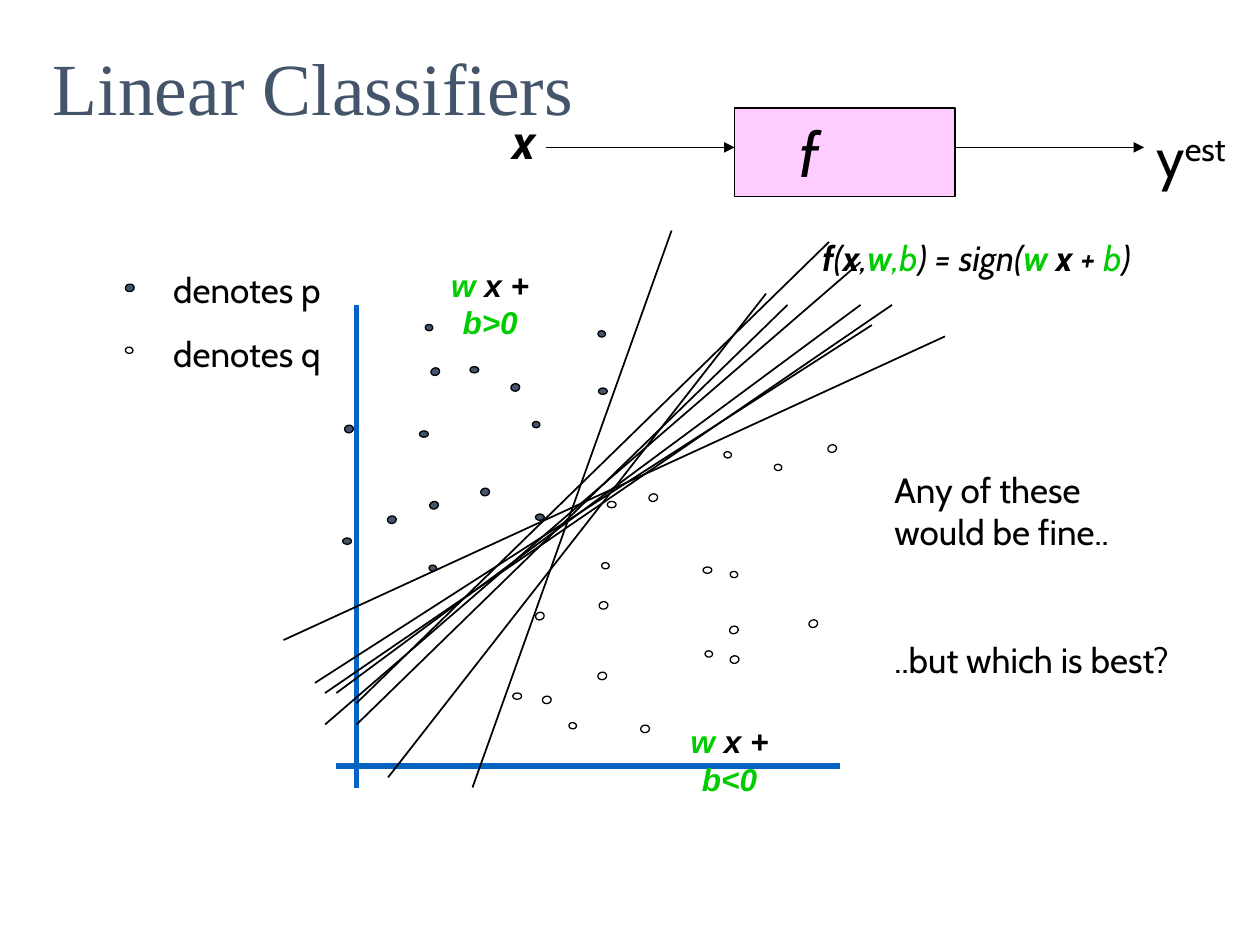
from dataclasses import dataclass
from pptx import Presentation
from pptx.dml.color import RGBColor
from pptx.enum.shapes import MSO_CONNECTOR as CONN, MSO_SHAPE as SHAPE
from pptx.enum.text import MSO_ANCHOR as ANCHOR, PP_ALIGN as ALIGN
from pptx.oxml.ns import qn
from pptx.util import Inches, Pt
from lxml.etree import SubElement


@dataclass(frozen=True)
class Theme:
    slate: str = "44546A"
    black: str = "000000"
    white: str = "FFFFFF"
    pink: str = "FFCCFF"
    blue: str = "0563C1"
    green: str = "00CC00"
    title_font: str = "Times New Roman"
    body_font: str = "Cabin"
    math_font: str = "Arial"
    title: int = 42
    function: int = 36
    output: int = 32
    input: int = 28
    body: int = 20
    label: int = 18


T = Theme()
TITLE = "Linear Classifiers"

FORMULA = [
    ("f", T.black, True), ("(", T.black, False), ("x", T.black, True),
    (",", T.black, False), ("w", T.green, True), (",b", T.green, False),
    (") = sign(", T.black, False), ("w", T.green, True), (" x ", T.black, True),
    ("+ ", T.black, False), ("b", T.green, False), (")", T.black, False),
]
REGIONS = [("b>0", 3.23, 2.06), ("b<0", 5.13, 5.68)]

AXES = [(2.83, 2.42, 2.83, 6.25), (2.67, 6.08, 6.67, 6.08)]
ARROWS = [(4.33, 1.17, 5.83, 1.17), (7.58, 1.17, 9.08, 1.17)]
BOUNDARIES = [
    (3.75, 6.25, 5.33, 1.83), (2.5, 5.42, 6.92, 2.58), (2.83, 5.75, 6.25, 2.42),
    (2.25, 5.08, 7.5, 2.67), (2.67, 5.5, 6.83, 2.42), (2.58, 5.75, 6.83, 2.08),
    (2.83, 5.58, 6.58, 1.92), (3.08, 6.17, 6.08, 2.33), (2.58, 5.5, 7.08, 2.42),
]

DOT_SIZES = {0: (0.07, 0.05), 341.4: (0.07, 0.06), 98.2: (0.05, 0.06), 79.6: (0.06, 0.07)}
DOTS = {
    T.slate: {
        0: [(2.72, 4.27), (4.75, 3.08), (3.73, 2.91), (4.25, 4.08), (3.33, 3.42)],
        341.4: [(3.42, 2.92), (3.41, 3.98)],
        98.2: [(4.23, 3.34), (3.41, 4.48), (4.75, 2.62), (3.38, 2.57)],
        79.6: [(1, 2.25), (3.82, 3.87), (3.08, 4.09), (4.06, 3.04), (2.74, 3.37)],
    },
    T.white: {
        0: [(4.07, 5.5), (4.82, 3.98), (5.58, 4.5)],
        341.4: [(4.25, 4.86), (6.57, 3.53), (5.79, 4.97), (5.15, 3.92), (6.42, 4.92)],
        98.2: [(1, 2.75), (4.52, 5.73), (5.8, 4.53), (4.78, 4.46), (6.15, 3.68),
               (5.75, 3.58), (5.6, 5.16)],
        79.6: [(5.09, 5.75), (4.75, 5.33), (4.76, 4.77), (4.31, 5.52), (5.8, 5.2)],
    },
}


def rgb(value):
    return RGBColor.from_string(value)


def style(font, size, color=T.black, name=T.body_font, bold=False, italic=False):
    font.size, font.name = Pt(size), name
    font.bold, font.italic = bold, italic
    font.color.rgb = rgb(color)


def add_shape(slide, kind, box, fill, width):
    sp = slide.shapes.add_shape(kind, *map(Inches, box))
    sp.shadow.inherit = False
    sp.fill.solid()
    sp.fill.fore_color.rgb = rgb(fill)
    sp.line.color.rgb = rgb(T.black)
    sp.line.width = Pt(width)
    return sp


def add_line(slide, ends, color=T.black, width=1, arrow=False):
    line = slide.shapes.add_connector(CONN.STRAIGHT, *map(Inches, ends))
    line.line.color.rgb = rgb(color)
    line.line.width = Pt(width)
    spPr = line._element.spPr
    if arrow:
        SubElement(spPr.find(qn("a:ln")), qn("a:tailEnd"), type="triangle")
    SubElement(spPr, qn("a:effectLst"))


def add_text(slide, box, lines, size=T.body, align=ALIGN.LEFT, gap=0, wrap=True, **look):
    tf = slide.shapes.add_textbox(*map(Inches, box)).text_frame
    tf.word_wrap = wrap
    for i, text in enumerate(lines):
        p = tf.paragraphs[0] if i == 0 else tf.add_paragraph()
        p.text = text
        p.alignment = align
        if i:
            p.space_before = Pt(gap)
        style(p.font, size, **look)
    return tf.paragraphs[0]


def add_runs(p, runs):
    for text, color, bold in runs:
        r = p.add_run()
        r.text = text
        r.font.color.rgb = rgb(color)
        r.font.bold = bold


def build_title(slide):
    title = slide.shapes.title
    title.left, title.top, title.width, title.height = map(Inches, (0.17, 0.33, 5.08, 0.75))
    tf = title.text_frame
    tf.text = TITLE
    tf.vertical_anchor = ANCHOR.BOTTOM
    tf.margin_left = Inches(0.25)
    p = tf.paragraphs[0]
    p.alignment = ALIGN.LEFT
    style(p.font, T.title, T.slate, T.title_font)


def build_pipeline(slide):
    box = add_shape(slide, SHAPE.RECTANGLE, (5.83, 0.86, 1.75, 0.7), T.pink, 1)
    tf = box.text_frame
    tf.text = "f"
    tf.vertical_anchor = ANCHOR.MIDDLE
    tf.margin_right = Inches(0.67)
    tf.paragraphs[0].alignment = ALIGN.CENTER
    style(tf.paragraphs[0].font, T.function, italic=True)
    for ends in ARROWS:
        add_line(slide, ends, arrow=True)
    add_text(slide, (3.83, 0.83, 0.67, 0.57), ["x"], T.input, ALIGN.CENTER,
             bold=True, italic=True)
    p = add_text(slide, (9.08, 0.92, 0.92, 0.64), ["y"], T.output)
    r = p.add_run()
    r.text = "est"
    r._r.get_or_add_rPr().set("baseline", "30000")


def build_plot(slide):
    for ends in AXES:
        add_line(slide, ends, T.blue, 3)
    for fill, tilts in DOTS.items():
        for tilt, corners in tilts.items():
            for corner in corners:
                dot = add_shape(slide, SHAPE.OVAL, corner + DOT_SIZES[tilt], fill, 0.75)
                dot.rotation = tilt
    for ends in BOUNDARIES:
        add_line(slide, ends)
    for sign, left, top in REGIONS:
        p = add_text(slide, (left, top, 1.32, 0.4), [""], T.label, ALIGN.CENTER,
                     wrap=False, name=T.math_font, bold=True, italic=True)
        add_runs(p, [("w", T.green, True), (" x + ", T.black, True), (sign, T.green, True)])


def build_notes(slide):
    add_text(slide, (0.92, 2.08, 2.08, 0.94), ["denotes p", "denotes q"],
             align=ALIGN.CENTER, gap=12.5)
    p = add_text(slide, (6, 1.83, 3.5, 0.44), [""], align=ALIGN.CENTER, italic=True)
    add_runs(p, FORMULA)
    add_text(slide, (7, 3.67, 2.42, 2.12),
             ["Any of these would be fine..", "..but which is best?"], gap=49)


def main():
    prs = Presentation()
    prs.slide_width, prs.slide_height = Inches(10), Inches(7.5)
    slide = prs.slides.add_slide(prs.slide_layouts[5])
    build_title(slide)
    build_pipeline(slide)
    build_plot(slide)
    build_notes(slide)
    prs.save("out.pptx")


if __name__ == "__main__":
    main()
